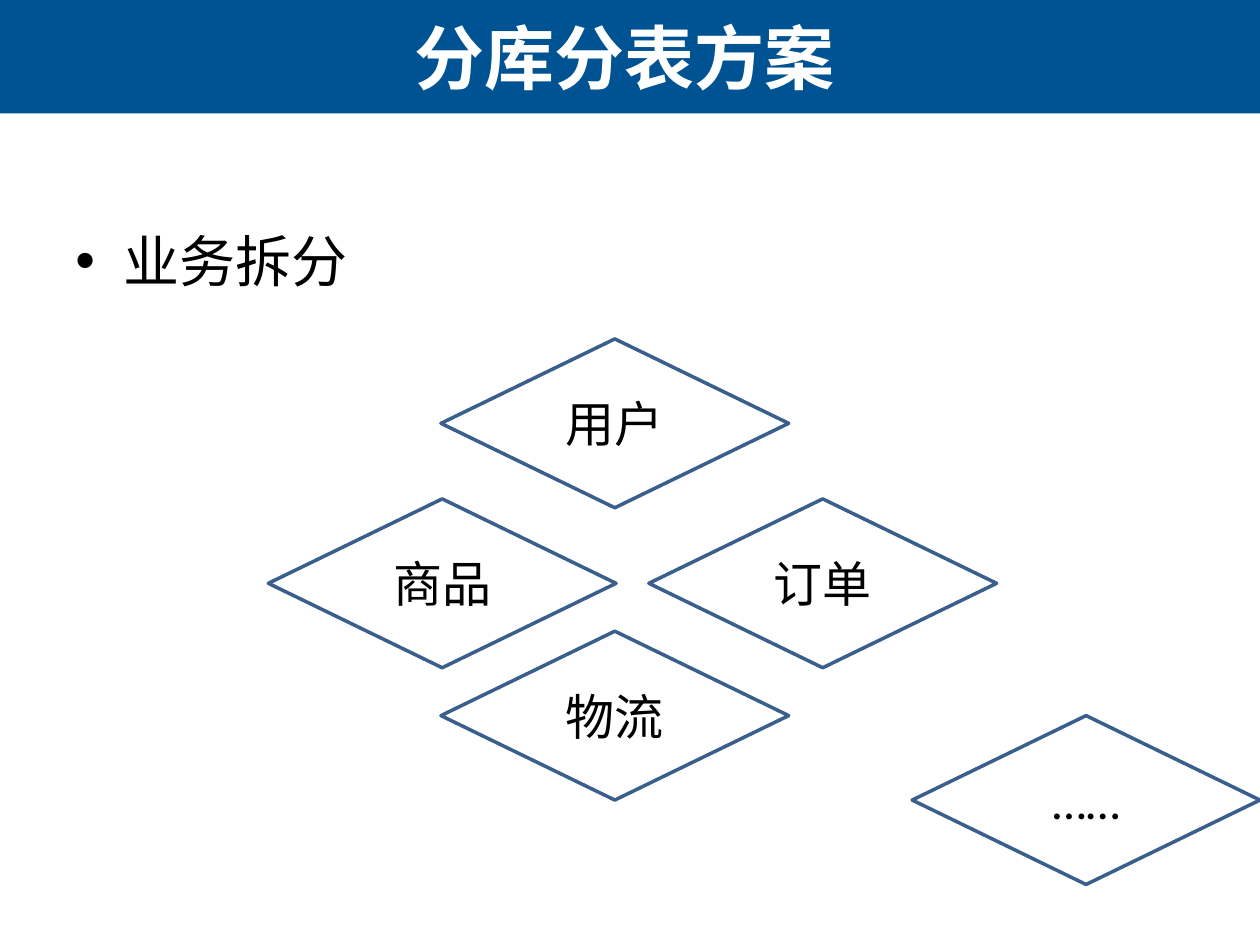
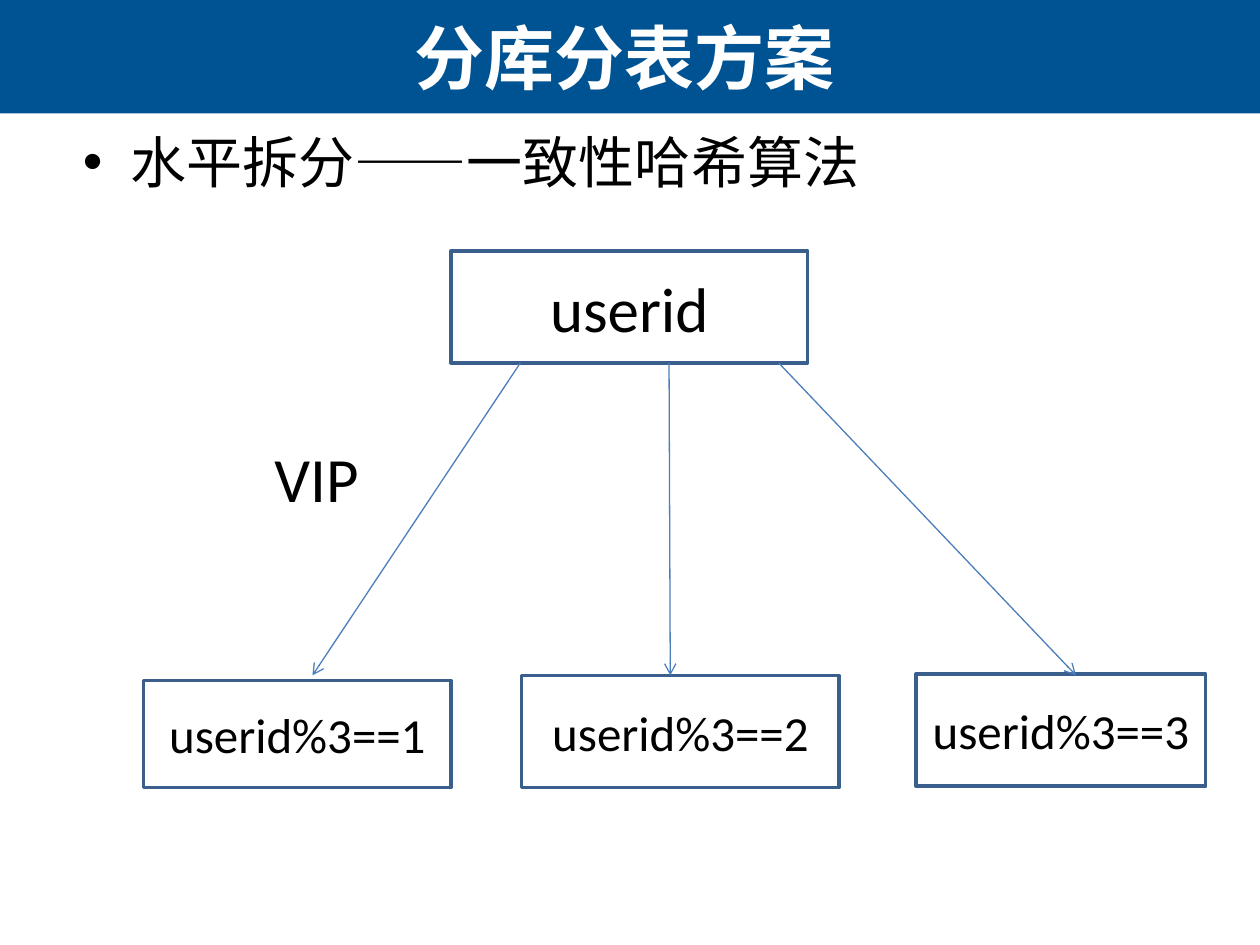
import pptx
import pptx.util
import pptx.dml.color
import pptx.enum.shapes
import pptx.enum.text
import pptx.oxml
import pptx.oxml.ns

RGBColor = pptx.dml.color.RGBColor
Pt = pptx.util.Pt
MSO_SHAPE = pptx.enum.shapes.MSO_SHAPE
PP_ALIGN = pptx.enum.text.PP_ALIGN
MSO_ANCHOR = pptx.enum.text.MSO_ANCHOR

WHITE = RGBColor(0xFF, 0xFF, 0xFF)
BLACK = RGBColor(0x00, 0x00, 0x00)
BAND = RGBColor(0x00, 0x53, 0x92)
OUTLINE = RGBColor(0x3A, 0x5F, 0x8C)
ARROW = RGBColor(0x4B, 0x7E, 0xBC)

COLS, ROWS = 100, 75
BAND_ROWS = 9


def set_all(target, values):
    for name, value in values.items():
        setattr(target, name, value)


def add_xml(parent, tag, **attrs):
    el = pptx.oxml.parse_xml(f'<a:{tag} {pptx.oxml.ns.nsdecls("a")}/>')
    for name, value in attrs.items():
        el.set(name, value)
    parent.append(el)


class Deck:
    title_font = {"name": "Arial", "size": Pt(40), "bold": True}
    centred = {"alignment": PP_ALIGN.CENTER}
    middle = {"word_wrap": True, "vertical_anchor": MSO_ANCHOR.MIDDLE}

    def __init__(self):
        self.prs = pptx.Presentation()
        set_all(self.prs, {"slide_width": pptx.util.Inches(10),
                           "slide_height": pptx.util.Inches(7.5)})
        self.s = None

    def grid(self, *values):
        steps = (self.prs.slide_width / COLS, self.prs.slide_height / ROWS)
        return [round(v * steps[i % 2]) for i, v in enumerate(values)]

    def slide(self, title):
        self.s = self.prs.slides.add_slide(self.prs.slide_layouts[6])
        self.s.background.fill.solid()
        self.s.background.fill.fore_color.rgb = WHITE
        band = self.shape(MSO_SHAPE.RECTANGLE, 0, 0, COLS, BAND_ROWS)
        band.fill.solid()
        band.fill.fore_color.rgb = BAND
        band.line.fill.background()
        sp = self.box(0.2, 0, 98.7, BAND_ROWS)
        self.put_text(sp, title, self.title_font, WHITE, self.centred, self.middle)

    def shape(self, kind, *place):
        sp = self.s.shapes.add_shape(kind, *self.grid(*place))
        sp.shadow.inherit = False
        return sp

    def box(self, *place):
        return self.s.shapes.add_textbox(*self.grid(*place))

    def put_text(self, sp, text, font, colour, para, frame):
        tf = sp.text_frame
        set_all(tf, frame)
        p = tf.paragraphs[0]
        set_all(p, para)
        r = p.add_run()
        r.text = text
        set_all(r.font, font)
        r.font.color.rgb = colour
        return p

    def label(self, text, size, *place):
        font = {"name": "Calibri", "size": Pt(size)}
        return self.put_text(self.box(*place), text, font, BLACK, {},
                             {"word_wrap": True})

    def bullet(self, text, left, top):
        p = self.label(text, 32, left, top, 90, 49.5)
        p.space_before = Pt(6.4)
        pPr = p._p.get_or_add_pPr()
        indent = pptx.util.Inches(0.38)
        pPr.set("marL", str(indent))
        pPr.set("indent", str(-indent))
        add_xml(pPr, "buFont", typeface="Arial")
        add_xml(pPr, "buChar", char="•")

    def node(self, kind, text, size, *place):
        sp = self.shape(kind, *place)
        sp.fill.background()
        sp.line.color.rgb = OUTLINE
        sp.line.width = Pt(2)
        font = {"name": "Calibri", "size": Pt(size)}
        self.put_text(sp, text, font, BLACK, self.centred, self.middle)

    def arrow(self, *ends):
        c = self.s.shapes.add_connector(
            pptx.enum.shapes.MSO_CONNECTOR.STRAIGHT, *self.grid(*ends))
        c.line.color.rgb = ARROW
        c.line.width = Pt(0.75)
        add_xml(c._element.spPr.find(pptx.oxml.ns.qn("a:ln")), "tailEnd", type="arrow")
        add_xml(c._element.spPr, "effectLst")


TITLE = "分库分表方案"
deck = Deck()

deck.slide(TITLE)
deck.bullet("业务拆分", 5, 17.5)
DIAMOND = (27.6, 13.4)
for text, left, top in [("用户", 35, 26.9), ("商品", 21.3, 39.6),
                        ("订单", 51.5, 39.6), ("物流", 35, 50.1),
                        ("……", 72.4, 56.8)]:
    deck.node(MSO_SHAPE.FLOWCHART_DECISION, text, 28, left, top, *DIAMOND)

deck.slide(TITLE)
deck.bullet("水平拆分——一致性哈希算法", 5.6, 9.6)
KEY_TOP, KEY_HEIGHT, SHARD_TOP = 19.9, 8.9, 53.6
deck.node(MSO_SHAPE.RECTANGLE, "userid", 36, 35.8, KEY_TOP, 28.3, KEY_HEIGHT)
shards = [(11.4, 54, 24.4, 8.5, 41.3, 24.8),
          (41.4, 53.6, 25.2, 8.9, 53.1, 53.2),
          (72.7, 53.5, 23, 8.9, 61.8, 85.4)]
for i, (left, top, width, height, start, end) in enumerate(shards, 1):
    deck.node(MSO_SHAPE.RECTANGLE, f"userid%3=={i}", 28, left, top, width, height)
    deck.arrow(start, KEY_TOP + KEY_HEIGHT, end, SHARD_TOP)
deck.label("VIP", 36, 20.8, 34.4, 17.2, 7.1)

deck.prs.save("out.pptx")
